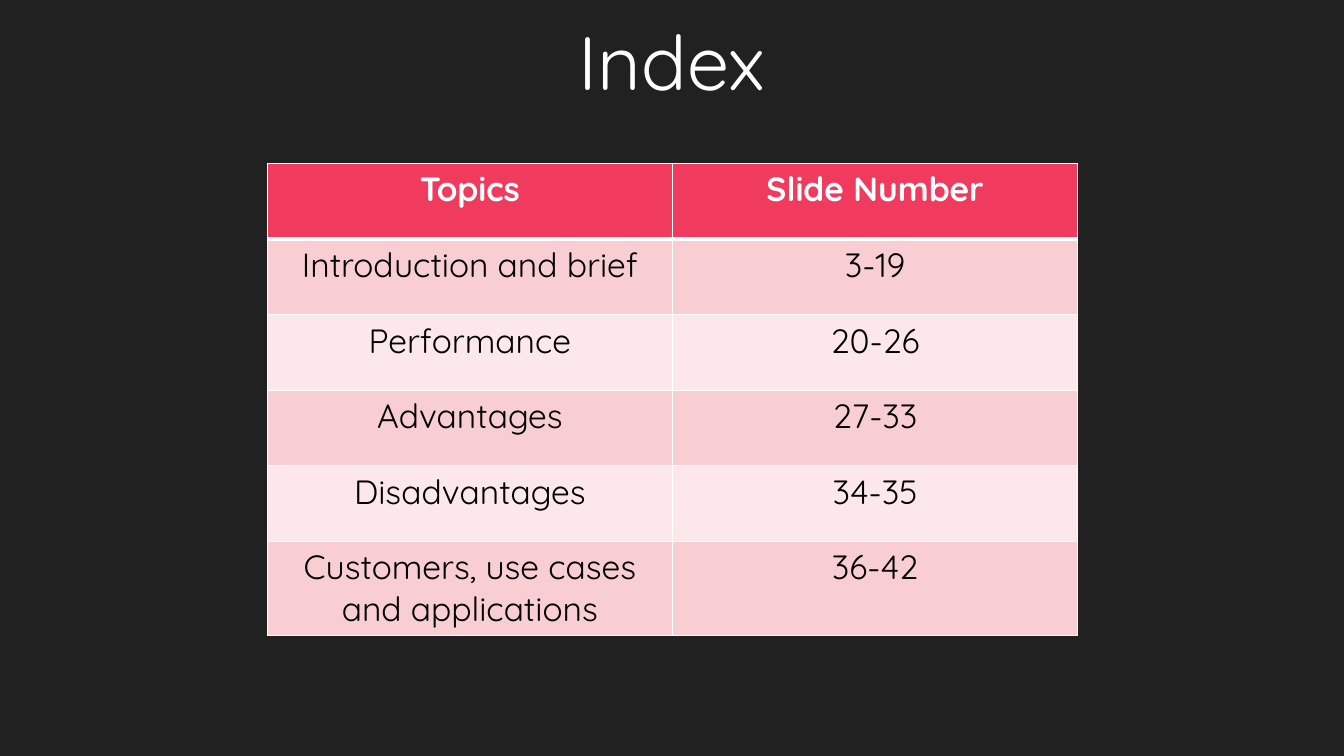
from lxml import etree
from pptx import Presentation
from pptx.dml.color import RGBColor
from pptx.enum.text import MSO_ANCHOR, PP_ALIGN
from pptx.oxml.ns import qn
from pptx.util import Inches, Pt

CENTER = PP_ALIGN.CENTER
MIDDLE = MSO_ANCHOR.MIDDLE
FONT = "Quicksand"
COLORS = {
    "background": "212121",
    "white": "FFFFFF",
    "black": "000000",
    "header": "F03B5E",
    "odd_row": "F9CED2",
    "even_row": "FCE8EA",
}
INDEX = [
    ("Topics", "Slide Number"),
    ("Introduction and brief", "3-19"),
    ("Performance", "20-26"),
    ("Advantages", "27-33"),
    ("Disadvantages", "34-35"),
    ("Customers, use cases and applications", "36-42"),
]


def add_centered_run(text_frame, text, size, color, bold=False):
    paragraph = text_frame.paragraphs[0]
    paragraph.alignment = CENTER
    run = paragraph.add_run()
    run.text = text
    run.font.name = FONT
    run.font.size = Pt(size)
    run.font.bold = bold
    run.font.color.rgb = RGBColor.from_string(COLORS[color])


def set_borders(cell, widths):
    """Draw white cell borders; widths maps L, R, T, B, in that order, to points."""
    properties = cell._tc.get_or_add_tcPr()
    for position, (side, width) in enumerate(widths.items()):
        line = etree.Element(qn(f"a:ln{side}"), w=str(Pt(width)))
        fill = etree.SubElement(line, qn("a:solidFill"))
        etree.SubElement(fill, qn("a:srgbClr"), val=COLORS["white"])
        properties.insert(position, line)


prs = Presentation()
prs.slide_width = Inches(13.33)
prs.slide_height = Inches(7.5)
slide = prs.slides.add_slide(prs.slide_layouts[5])
slide.background.fill.solid()
slide.background.fill.fore_color.rgb = RGBColor.from_string(COLORS["background"])

title = slide.shapes.title
title.left, title.top = Inches(5.56), Inches(0.09)
title.width, title.height = Inches(2.21), Inches(1.01)
title.text_frame.word_wrap = False
title.text_frame.vertical_anchor = MIDDLE
add_centered_run(title.text_frame, "Index", 54, "white")

index_table = slide.shapes.add_table(
    len(INDEX), 2, Inches(2.65), Inches(1.62), Inches(8.04), Inches(0.75 * len(INDEX))
).table

for row, entries in enumerate(INDEX):
    is_header = row == 0
    if is_header:
        fill_color = "header"
    else:
        fill_color = "odd_row" if row % 2 else "even_row"
    for column, entry in enumerate(entries):
        cell = index_table.cell(row, column)
        cell.fill.solid()
        cell.fill.fore_color.rgb = RGBColor.from_string(COLORS[fill_color])
        set_borders(cell, {
            "L": 1,
            "R": 1,
            "T": 3 if row == 1 else 1,
            "B": 3 if is_header else 1,
        })
        add_centered_run(cell.text_frame, entry, 24, "white" if is_header else "black", is_header)

prs.save("out.pptx")
